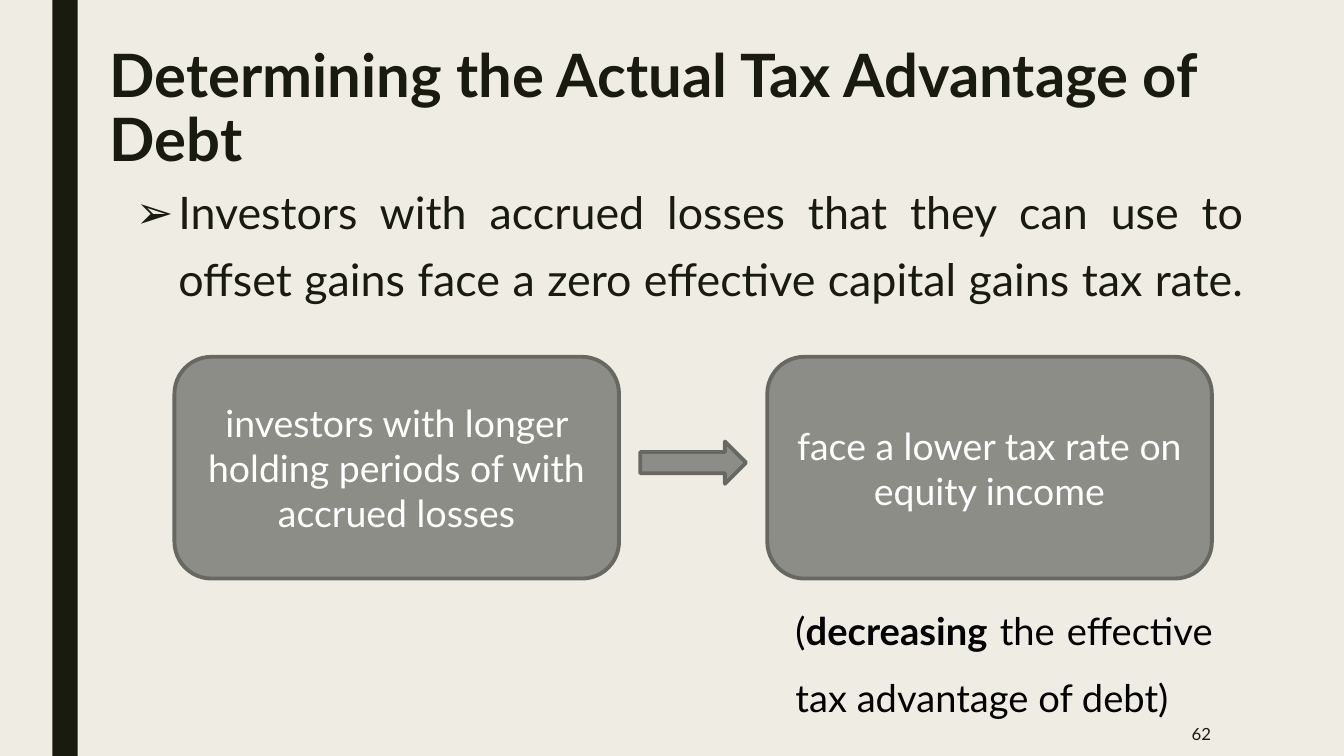
from lxml import etree
from pptx import Presentation
from pptx.dml.color import RGBColor
from pptx.enum.shapes import MSO_SHAPE
from pptx.enum.text import MSO_ANCHOR, PP_ALIGN
from pptx.oxml.ns import qn
from pptx.util import Inches, Pt

RECT, ROUNDED, ARROW = (MSO_SHAPE.RECTANGLE, MSO_SHAPE.ROUNDED_RECTANGLE,
                        MSO_SHAPE.RIGHT_ARROW)
TOP, MIDDLE = MSO_ANCHOR.TOP, MSO_ANCHOR.MIDDLE
LEFT, CENTER, RIGHT, JUSTIFY = (PP_ALIGN.LEFT, PP_ALIGN.CENTER,
                                PP_ALIGN.RIGHT, PP_ALIGN.JUSTIFY)

COLORS = {"background": "EFEDE3", "ink": "191B0E", "box": "8C8D86",
          "outline": "686863", "white": "FFFFFF", "black": "000000"}
FONT = "Lato"


def rgb(name):
    return RGBColor.from_string(COLORS[name])


class SlideBuilder:
    """Holds the presentation style and the slide being filled."""

    def __init__(self, presentation):
        self.slide = presentation.slides.add_slide(presentation.slide_layouts[6])
        fill = self.slide.background.fill
        fill.solid()
        fill.fore_color.rgb = rgb("background")

    def shape(self, kind, left, top, width, height, color, outline=None):
        shape = self.slide.shapes.add_shape(
            kind, Inches(left), Inches(top), Inches(width), Inches(height))
        shape.shadow.inherit = False
        shape.fill.solid()
        shape.fill.fore_color.rgb = rgb(color)
        if outline:
            shape.line.color.rgb = rgb(outline)
            shape.line.width = Pt(2.75)
        else:
            shape.line.fill.background()
        return shape

    def fill_text(self, frame, runs, size, color, align=LEFT, anchor=TOP, spacing=None):
        """Fill a frame with one paragraph of (wording, bold) runs."""
        frame.word_wrap = True
        frame.vertical_anchor = anchor
        paragraph = frame.paragraphs[0]
        paragraph.alignment = align
        if spacing:
            paragraph.line_spacing = spacing
        for wording, bold in runs:
            run = paragraph.add_run()
            run.text = wording
            run.font.name = FONT
            run.font.size = Pt(size)
            run.font.bold = bold
            run.font.color.rgb = rgb(color)
        return paragraph

    def text(self, left, top, width, height, runs, size, color, **layout):
        box = self.slide.shapes.add_textbox(
            Inches(left), Inches(top), Inches(width), Inches(height))
        return box.text_frame, self.fill_text(box.text_frame, runs, size, color, **layout)

    def indent(self, paragraph, margin, first=0, bullet=None):
        properties = paragraph._p.get_or_add_pPr()
        properties.set("marL", str(Inches(margin)))
        properties.set("indent", str(Inches(first)))
        if bullet:
            etree.SubElement(properties, qn("a:buFont")).set("typeface", FONT)
            etree.SubElement(properties, qn("a:buChar")).set("char", bullet)

    def statement(self, left, wording):
        box = self.shape(ROUNDED, left, 3.54, 4.41, 2.2, "box", "outline")
        self.fill_text(box.text_frame, [(wording, False)], 26.7, "white",
                       align=CENTER, anchor=MIDDLE)


def main():
    presentation = Presentation()
    presentation.slide_width = Inches(13.33)
    presentation.slide_height = Inches(7.5)
    builder = SlideBuilder(presentation)

    builder.shape(RECT, 0.52, 0, 0.25, 7.5, "ink")
    builder.text(0.99, 0.41, 11.92, 1.62,
                 [("Determining the Actual Tax Advantage of Debt", True)],
                 42.7, "ink", spacing=0.89)

    _, losses = builder.text(
        0.67, 1.65, 11.77, 1.9,
        [("Investors with accrued losses that they can use to offset gains "
          "face a zero effective capital gains tax rate. ", False)],
        32, "ink", align=JUSTIFY, spacing=Pt(48))
    builder.indent(losses, 1, -0.42, "➢")

    builder.statement(1.73, "investors with longer holding periods of with accrued losses")
    builder.shape(ARROW, 6.35, 4.38, 1.05, 0.42, "box", "outline")
    builder.statement(7.61, "face a lower tax rate on equity income")

    effect_frame, effect = builder.text(
        7.09, 5.74, 5.07, 1.9,
        [("(", False), ("decreasing", True),
         (" the effective tax advantage of debt)", False)],
        27.2, "black", align=JUSTIFY, spacing=Pt(48))
    effect_frame.margin_left = effect_frame.margin_right = Inches(0.13)
    effect_frame.margin_top = effect_frame.margin_bottom = Inches(0.07)
    builder.indent(effect, 0.67)

    builder.text(10.36, 7.06, 1.75, 0.44, [("62", False)], 12, "ink",
                 align=RIGHT, anchor=MIDDLE)
    presentation.save("out.pptx")


if __name__ == "__main__":
    main()
